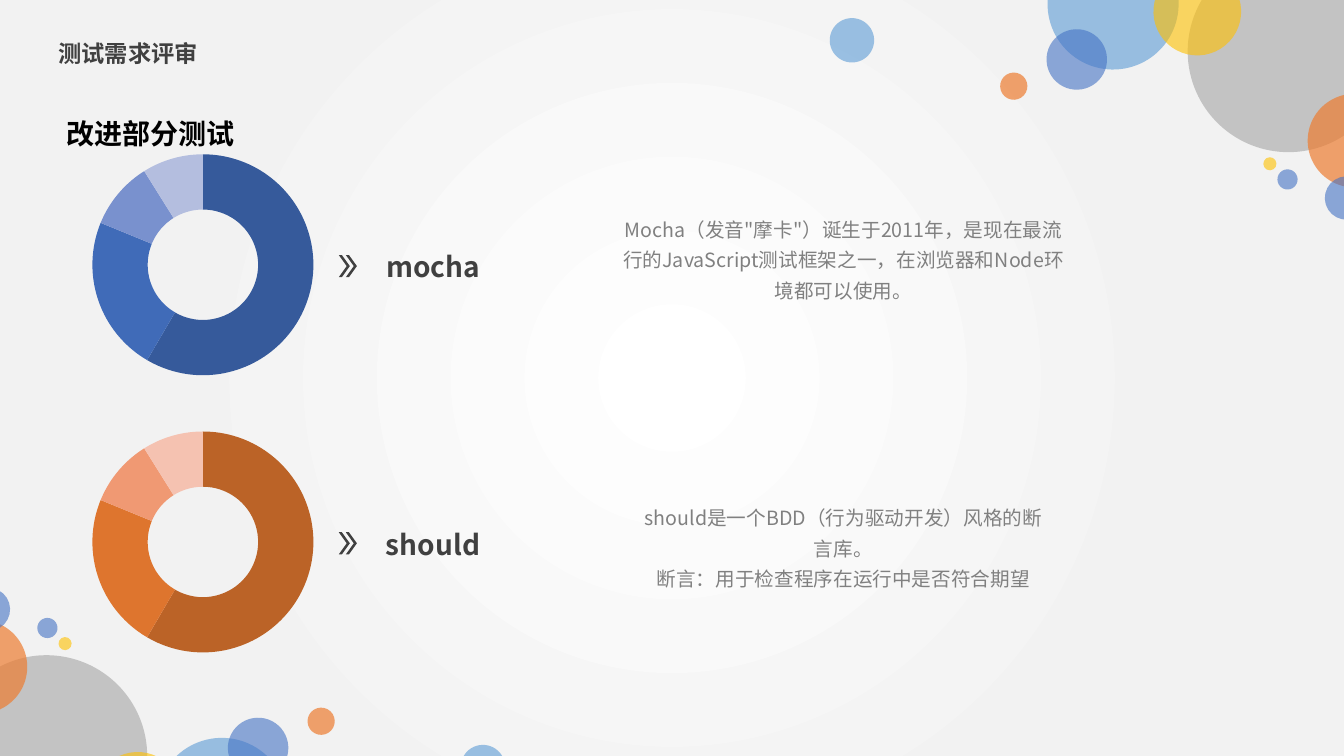
from dataclasses import dataclass

from pptx import Presentation
from pptx import util as u
from pptx.chart import data
from pptx.dml import color
from pptx.enum import chart, shapes, text
from pptx.oxml import parse_xml
from pptx.oxml import ns


@dataclass(frozen=True)
class Theme:
    font: str = "Noto Sans CJK SC"
    dark: str = "404040"
    black: str = "000000"
    grey: str = "808080"
    glow: str = "FFFFFF"
    edge: str = "F2F2F2"
    sky: str = "5B9BD5"
    silver: str = "A5A5A5"
    gold: str = "FFC000"
    blue: str = "4472C4"
    orange: str = "ED7D31"
    blues: tuple = ("365A9B", "406BB8", "7991CE", "B4BEDF")
    oranges: tuple = ("BB6327", "DE752E", "F09973", "F5C2B1")
    title: float = 16.6
    heading: int = 20
    body: int = 14
    chart: int = 10


def px(n):
    return u.Emu(n * 9144)


def rgb(value):
    return color.RGBColor.from_string(value)


class Deck:
    def __init__(self, theme):
        self.theme = theme
        self.prs = Presentation()
        self.prs.slide_width, self.prs.slide_height = px(1333), px(750)
        self.s = self.prs.slides.add_slide(self.prs.slide_layouts[5])

    def background(self):
        t = self.theme
        self.s.background.fill.gradient()
        old = self.s.element.find(".//" + ns.qn("a:gradFill"))
        stops = "".join(
            f'<a:gs pos="{pos}"><a:srgbClr val="{c}"/></a:gs>'
            for pos, c in ((0, t.glow), (67000, t.edge), (100000, t.edge)))
        new = parse_xml(
            f'<a:gradFill {ns.nsdecls("a")} rotWithShape="1"><a:gsLst>{stops}</a:gsLst>'
            '<a:path path="circle"><a:fillToRect l="50000" t="50000" r="50000" b="50000"/>'
            '</a:path></a:gradFill>')
        old.getparent().replace(old, new)

    def shape(self, parent, kind, x, y, w, h, fill):
        sp = parent.shapes.add_shape(kind, px(x), px(y), px(w), px(h))
        sp.shadow.inherit = False
        sp.fill.solid()
        sp.fill.fore_color.rgb = rgb(fill)
        sp.line.fill.background()
        return sp

    def bubble(self, x, y, size, fill, opacity, turn):
        sp = self.shape(self.s, shapes.MSO_SHAPE.OVAL, x, y, size, size, fill)
        sp.rotation = turn
        clr = sp.element.spPr.find(".//" + ns.qn("a:srgbClr"))
        clr.append(parse_xml(f'<a:alpha {ns.nsdecls("a")} val="{opacity * 1000}"/>'))

    def arrows(self, x, y):
        group = self.s.shapes.add_group_shape()
        for step in (0, 7):
            sp = self.shape(group, shapes.MSO_SHAPE.CHEVRON, x + step, y, 11, 22, self.theme.dark)
            sp.adjustments[0] = 0.72

    def fill_text(self, tf, lines, size, ink, bold=False, align=text.PP_ALIGN.LEFT, spacing=1.0):
        tf.word_wrap = True
        tf.auto_size = text.MSO_AUTO_SIZE.NONE
        for i, line in enumerate(lines):
            p = tf.add_paragraph() if i else tf.paragraphs[0]
            p.alignment, p.line_spacing = align, spacing
            r = p.add_run()
            r.text = line
            r.font.size, r.font.bold, r.font.name = u.Pt(size), bold, self.theme.font
            r.font.color.rgb = rgb(ink)
            r.font._element.append(
                parse_xml(f'<a:ea {ns.nsdecls("a")} typeface="{self.theme.font}"/>'))

    def title(self, x, y, w, h, line):
        sp = self.s.shapes.title
        sp.left, sp.top, sp.width, sp.height = px(x), px(y), px(w), px(h)
        sp.text_frame.vertical_anchor = text.MSO_ANCHOR.MIDDLE
        self.fill_text(
            sp.text_frame, [line], self.theme.title, self.theme.dark, bold=True, spacing=1.2)

    def textbox(self, x, y, w, h, lines, size, ink, **style):
        sp = self.s.shapes.add_textbox(px(x), px(y), px(w), px(h))
        self.fill_text(sp.text_frame, lines, size, ink, **style)

    def doughnut(self, x, y, w, h, values, fills):
        cd = data.CategoryChartData()
        cd.categories = [str(i + 1) for i in range(len(values))]
        cd.add_series("Series 1", values)
        ch = self.s.shapes.add_chart(
            chart.XL_CHART_TYPE.DOUGHNUT, px(x), px(y), px(w), px(h), cd).chart
        ch.has_legend = ch.has_title = False
        ch.font.name, ch.font.size = self.theme.font, u.Pt(self.theme.chart)
        ch.font.color.rgb = rgb(self.theme.black)
        plot = ch.plots[0]
        plot.vary_by_categories = True
        for i, fill in enumerate(fills):
            fmt = plot.series[0].points[i].format
            fmt.fill.solid()
            fmt.fill.fore_color.rgb = rgb(fill)
            fmt.line.fill.background()
        area = ch.element.find(".//" + ns.qn("c:plotArea"))
        area.find(".//" + ns.qn("c:holeSize")).set("val", "43")
        for old in area.findall(ns.qn("c:layout")):
            area.remove(old)
        area.insert(0, parse_xml(
            f'<c:layout {ns.nsdecls("c")}><c:manualLayout><c:layoutTarget val="inner"/>'
            '<c:xMode val="edge"/><c:yMode val="edge"/><c:x val="0.05"/><c:y val="0.06"/>'
            '<c:w val="0.89"/><c:h val="0.87"/></c:manualLayout></c:layout>'))


def main():
    t = Theme()
    deck = Deck(t)
    deck.background()

    bubbles = (
        (1039, -61, 130, t.sky, 60),
        (1178, -49, 200, t.silver, 60),
        (1144, -32, 87, t.gold, 60),
        (1038, 29, 60, t.blue, 60),
        (1297, 93, 93, t.orange, 70),
        (992, 72, 27, t.orange, 70),
        (1314, 175, 43, t.blue, 60),
        (1267, 168, 20, t.blue, 60),
        (1253, 156, 13, t.gold, 60),
        (823, 18, 44, t.sky, 60),
    )
    for x, y, size, fill, opacity in bubbles:
        deck.bubble(x, y, size, fill, opacity, 357.7)
    for x, y, size, fill, opacity in bubbles:
        deck.bubble(1324 - x - size, 801 - y - size, size, fill, opacity, 177.7)

    deck.title(48, 28, 372, 44, "测试需求评审")
    deck.textbox(56, 111, 511, 44, ["改进部分测试"], t.heading, t.black, bold=True)

    centred = {"align": text.PP_ALIGN.CENTER, "spacing": 1.3}
    rows = (
        ("mocha", t.blues, 204, 465,
         ["Mocha（发音\"摩卡\"）诞生于2011年，是现在最流行的JavaScript测试框架之一，"
          "在浏览器和Node环境都可以使用。"]),
        ("should", t.oranges, 490, 425,
         ["should是一个BDD（行为驱动开发）风格的断言库。",
          "断言：用于检查程序在运行中是否符合期望"]),
    )
    for i, (name, fills, top, width, lines) in enumerate(rows):
        y = 138 + 275 * i
        deck.doughnut(79, y, 247, 252, (59, 23, 10, 9), fills)
        deck.textbox(836 - width // 2, top, width, 121, lines, t.body, t.grey, **centred)
        deck.textbox(266, y + 95, 327, 65, [name], t.heading, t.dark, bold=True, **centred)
        deck.arrows(336, y + 115)

    deck.prs.save("out.pptx")


if __name__ == "__main__":
    main()
